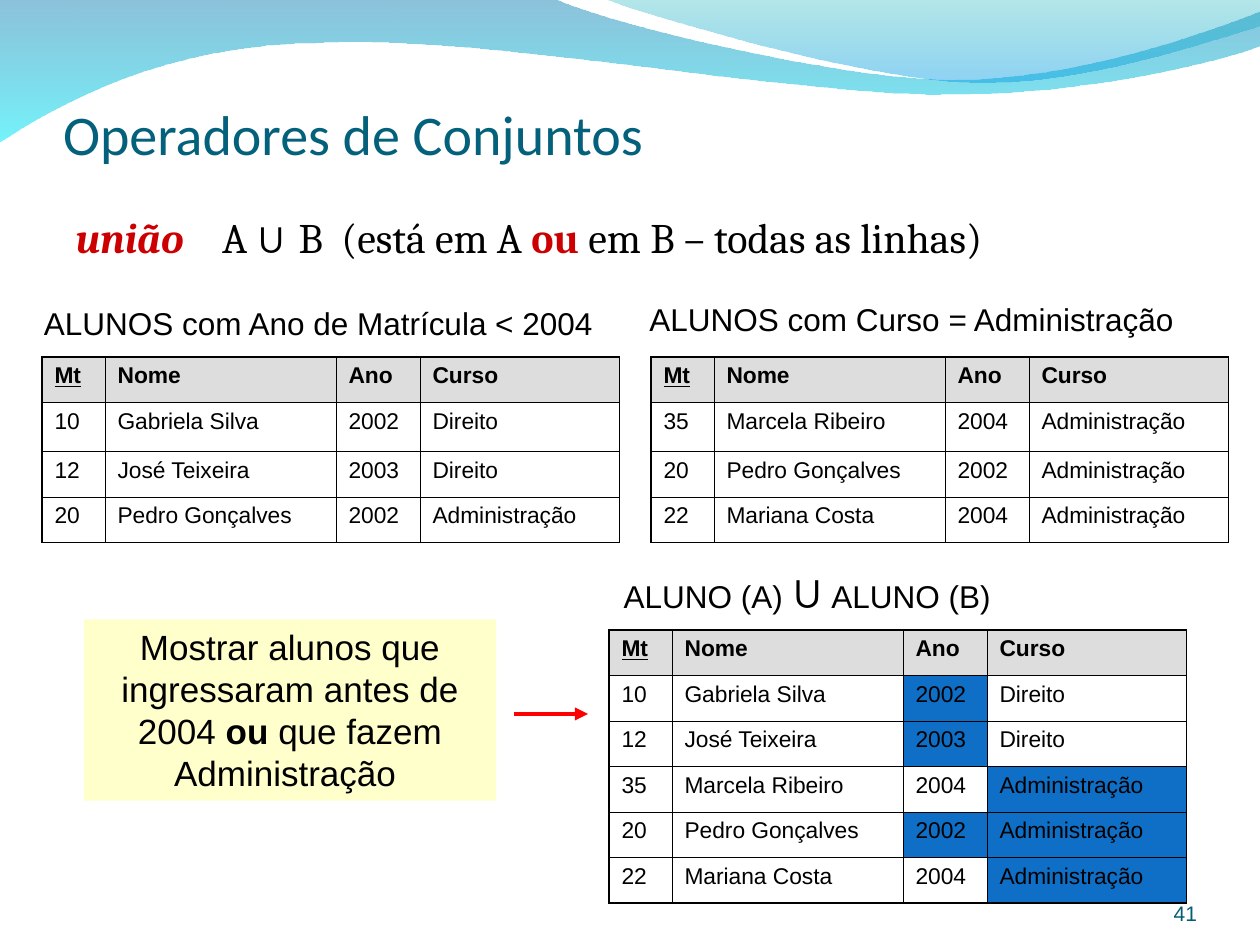
from dataclasses import dataclass

from lxml.etree import SubElement
from pptx import Presentation
from pptx.dml.color import RGBColor
from pptx.enum.shapes import MSO_CONNECTOR, MSO_SHAPE
from pptx.enum.text import MSO_ANCHOR, MSO_AUTO_SIZE, PP_ALIGN
from pptx.oxml import parse_xml
from pptx.oxml.ns import nsdecls, qn
from pptx.slide import Slide
from pptx.text.text import TextFrame
from pptx.util import Pt

BLACK = RGBColor(0x00, 0x00, 0x00)
RED = RGBColor(0xCC, 0x00, 0x00)
ARROW_RED = RGBColor(0xFF, 0x00, 0x00)
TITLE_TEAL = RGBColor(0x04, 0x61, 0x7B)
NUMBER_TEAL = RGBColor(0x04, 0x5C, 0x75)
HEADER_GRAY = RGBColor(0xDD, 0xDD, 0xDD)
MATCH_BLUE = RGBColor(0x0F, 0x6F, 0xC6)
NOTE_YELLOW = RGBColor(0xFF, 0xFF, 0xCC)
WAVE_NAVY = RGBColor(0x00, 0x79, 0xAF)
WAVE_CYAN = RGBColor(0x00, 0xEB, 0xF8)
WAVE_TEAL = RGBColor(0x00, 0xAD, 0xB6)
WAVE_BLUE = RGBColor(0x00, 0x9B, 0xE5)

Point = tuple[float, float]
COLUMNS = ("Mt", "Nome", "Ano", "Curso")
COLUMN_WIDTHS = (36, 132, 48, 114)
ROW_HEIGHT = 26
THIN, THICK = 0.45, 1.08


@dataclass(frozen=True)
class Span:
    text: str
    size: float = 18
    font: str = "Arial"
    color: RGBColor = BLACK
    bold: bool = False
    italic: bool = False
    underline: bool = False


@dataclass(frozen=True)
class Wave:
    start: Point
    segments: tuple[tuple[Point, ...], ...]
    stops: tuple[tuple[RGBColor, int], ...]


@dataclass(frozen=True)
class Student:
    mt: str
    name: str
    year: str
    course: str


@dataclass(frozen=True)
class Relation:
    left: float
    top: float
    students: tuple[Student, ...]
    first_row_height: float = ROW_HEIGHT
    mark_matches: bool = False


@dataclass(frozen=True)
class Label:
    box: tuple[float, float, float, float]
    spans: tuple[Span, ...]


GABRIELA = Student("10", "Gabriela Silva", "2002", "Direito")
JOSE = Student("12", "José Teixeira", "2003", "Direito")
PEDRO = Student("20", "Pedro Gonçalves", "2002", "Administração")
MARCELA = Student("35", "Marcela Ribeiro", "2004", "Administração")
MARIANA = Student("22", "Mariana Costa", "2004", "Administração")

RELATIONS = (
    Relation(24, 204, (GABRIELA, JOSE, PEDRO), 28),
    Relation(372, 204, (MARCELA, PEDRO, MARIANA), 28),
    Relation(348, 360, (GABRIELA, JOSE, MARCELA, PEDRO, MARIANA), mark_matches=True),
)
LABELS = (
    Label((18, 170, 329, 29), (Span("ALUNOS com Ano de Matrícula < 2004"),)),
    Label((349.3, 318, 227, 39),
          (Span("ALUNO (A) "), Span("∪", 26, bold=True), Span(" ALUNO (B)"))),
    Label((364, 168, 315, 29), (Span("ALUNOS com Curso = Administração"),)),
)
WAVES = (
    Wave((0, -0.7), (
        ((316.8, -0.7),),
        ((342.7, 12.2), (478.1, 45.4), (545.8, 45.4)),
        ((614.2, 45.4), (689.8, 18.7), (720, 6.5)),
        ((720.7, 25.9),),
        ((707.8, 31.7), (626.4, 54.7), (537.1, 54)),
        ((447.8, 54), (275, 20.2), (185, 24.5)),
        ((92.9, 25.2), (33.1, 59.8), (-0.7, 81.4)),
    ), ((WAVE_NAVY, 45), (WAVE_CYAN, 55))),
    Wave((344.9, -0.7), (
        ((366.5, 7.9), (491, 44.6), (553.7, 46.8)),
        ((616.3, 49.7), (691.9, 23), (720, 15.1)),
        ((720, 0),),
    ), ((WAVE_TEAL, 30), (WAVE_BLUE, 45))),
)


def write_spans(frame: TextFrame, spans: tuple[Span, ...],
                align: PP_ALIGN = PP_ALIGN.LEFT) -> None:
    paragraph = frame.paragraphs[0]
    paragraph.alignment = align
    paragraph.space_before = Pt(0)
    for span in spans:
        run = paragraph.add_run()
        run.text = span.text
        font = run.font
        font.size, font.name, font.color.rgb = Pt(span.size), span.font, span.color
        font.bold, font.italic, font.underline = span.bold, span.italic, span.underline


def set_insets(frame: TextFrame, left: float, top: float, right: float, bottom: float) -> None:
    frame.margin_left, frame.margin_top = Pt(left), Pt(top)
    frame.margin_right, frame.margin_bottom = Pt(right), Pt(bottom)


def place(shape, left: float, top: float, width: float, height: float) -> None:
    shape.left, shape.top = Pt(left), Pt(top)
    shape.width, shape.height = Pt(width), Pt(height)


def draw_wave(slide: Slide, wave: Wave, depth: int) -> None:
    anchors = [wave.start] + [controls[-1] for controls in wave.segments]
    vertices = [(Pt(x), Pt(y)) for x, y in anchors]
    builder = slide.shapes.build_freeform(*vertices[0])
    builder.add_line_segments(vertices[1:], close=True)
    shape = builder.convert_to_shape()
    sides = list(shape.element.iter(qn("a:lnTo")))
    for side, controls in zip(sides, wave.segments):
        if len(controls) == 3:
            outline = side.getparent()
            curve = SubElement(outline, qn("a:cubicBezTo"))
            for x, y in controls:
                SubElement(curve, qn("a:pt"), x=str(int(Pt(x) - shape.left)),
                           y=str(int(Pt(y) - shape.top)))
            outline.replace(side, curve)
    shape.shadow.inherit = False
    shape.line.fill.background()
    shape.fill.gradient()
    shape.fill.gradient_angle = 270
    for stop, (color, _) in zip(shape.fill.gradient_stops, wave.stops):
        stop.color.rgb = color
    for node, (_, opacity) in zip(shape.element.iter(qn("a:srgbClr")), wave.stops):
        SubElement(node, qn("a:alpha"), val=str(opacity * 1000))
    shape.element.getparent().insert(2 + depth, shape.element)


def draw_label(slide: Slide, label: Label) -> None:
    frame = slide.shapes.add_textbox(*map(Pt, label.box)).text_frame
    frame.word_wrap = False
    write_spans(frame, label.spans)


def draw_relation(slide: Slide, relation: Relation) -> None:
    rows = [COLUMNS] + [(s.mt, s.name, s.year, s.course) for s in relation.students]
    heights = [ROW_HEIGHT, relation.first_row_height] + [ROW_HEIGHT] * (len(rows) - 2)
    table = slide.shapes.add_table(
        len(rows), len(COLUMNS), Pt(relation.left), Pt(relation.top),
        Pt(sum(COLUMN_WIDTHS)), Pt(sum(heights))).table
    table.first_row = table.horz_banding = False
    for column, width in zip(table.columns, COLUMN_WIDTHS):
        column.width = Pt(width)
    for r, values in enumerate(rows):
        table.rows[r].height = Pt(heights[r])
        for c, value in enumerate(values):
            cell = table.cell(r, c)
            header = r == 0
            matches = (c == 2 and not header and int(value) < 2004) or value == "Administração"
            if header or (relation.mark_matches and matches):
                cell.fill.solid()
                cell.fill.fore_color.rgb = HEADER_GRAY if header else MATCH_BLUE
            else:
                cell.fill.background()
            write_spans(cell.text_frame,
                        (Span(value, 13, bold=header, underline=header and c == 0),))
            outer = (c == 0, c == len(COLUMNS) - 1, header, r == len(rows) - 1)
            properties = cell._tc.get_or_add_tcPr()
            for index, (side, edge) in enumerate(zip("LRTB", outer)):
                width = Pt(THICK if edge else THIN)
                properties.insert(index, parse_xml(
                    f'<a:ln{side} {nsdecls("a")} w="{width}"><a:solidFill>'
                    f'<a:srgbClr val="{BLACK}"/></a:solidFill></a:ln{side}>'))


def draw_title(slide: Slide) -> None:
    title = slide.shapes.title
    place(title, 36, 55.5, 648, 40)
    frame = title.text_frame
    frame.auto_size, frame.vertical_anchor = MSO_AUTO_SIZE.NONE, MSO_ANCHOR.BOTTOM
    set_insets(frame, 0, 3.6, 0, 0)
    write_spans(frame, (Span("Operadores de Conjuntos", 32, "Calibri", TITLE_TEAL),))


def draw_definition(slide: Slide) -> None:
    body = slide.placeholders[1]
    place(body, 36, 94, 648, 60)
    frame = body.text_frame
    frame.auto_size, frame.vertical_anchor = MSO_AUTO_SIZE.NONE, MSO_ANCHOR.TOP
    set_insets(frame, 7.2, 26.7, 7.2, 3.6)
    properties = frame.paragraphs[0]._p.get_or_add_pPr()
    hanging = int(Pt(47.8))
    properties.set("marL", str(hanging))
    properties.set("indent", str(-hanging))
    SubElement(properties, qn("a:buNone"))
    write_spans(frame, (
        Span("união\t", 24, "Cambria", RED, bold=True, italic=True),
        Span("A ", 24, "Cambria"),
        Span("∪ ", 24, bold=True),
        Span("B  (está em A ", 24, "Cambria"),
        Span("ou", 24, "Cambria", RED, bold=True),
        Span(" em B – todas as linhas)", 24, "Cambria"),
    ))


def draw_query(slide: Slide) -> None:
    query = slide.shapes.add_shape(MSO_SHAPE.RECTANGLE, Pt(48), Pt(354), Pt(235.5), Pt(103.5))
    query.shadow.inherit = False
    query.fill.solid()
    query.fill.fore_color.rgb = NOTE_YELLOW
    query.line.fill.background()
    query.text_frame.word_wrap = True
    query.text_frame.vertical_anchor = MSO_ANCHOR.TOP
    write_spans(query.text_frame, (
        Span("Mostrar alunos que ingressaram antes de 2004 ", 20),
        Span("ou", 20, bold=True),
        Span(" que fazem Administração ", 20),
    ), PP_ALIGN.CENTER)


def draw_arrow(slide: Slide) -> None:
    arrow = slide.shapes.add_connector(MSO_CONNECTOR.STRAIGHT, Pt(294), Pt(408), Pt(336), Pt(408))
    arrow.line.color.rgb = ARROW_RED
    arrow.line.width = Pt(2.5)
    SubElement(arrow.line._get_or_add_ln(), qn("a:tailEnd"), type="triangle")
    SubElement(arrow.element.spPr, qn("a:effectLst"))


def draw_slide_number(slide: Slide) -> None:
    frame = slide.shapes.add_textbox(Pt(624), Pt(500.5), Pt(60), Pt(28.5)).text_frame
    frame.word_wrap, frame.vertical_anchor = True, MSO_ANCHOR.BOTTOM
    set_insets(frame, 0, 0, 0, 0)
    write_spans(frame, (Span("41", 12, color=NUMBER_TEAL),), PP_ALIGN.RIGHT)


def main() -> None:
    presentation = Presentation()
    presentation.slide_width, presentation.slide_height = Pt(720), Pt(540)
    slide = presentation.slides.add_slide(presentation.slide_layouts[1])
    for depth, wave in enumerate(WAVES):
        draw_wave(slide, wave, depth)
    draw_title(slide)
    draw_definition(slide)
    draw_slide_number(slide)
    for label in LABELS:
        draw_label(slide, label)
    draw_query(slide)
    for relation in RELATIONS:
        draw_relation(slide, relation)
    draw_arrow(slide)
    presentation.save("out.pptx")


if __name__ == "__main__":
    main()
